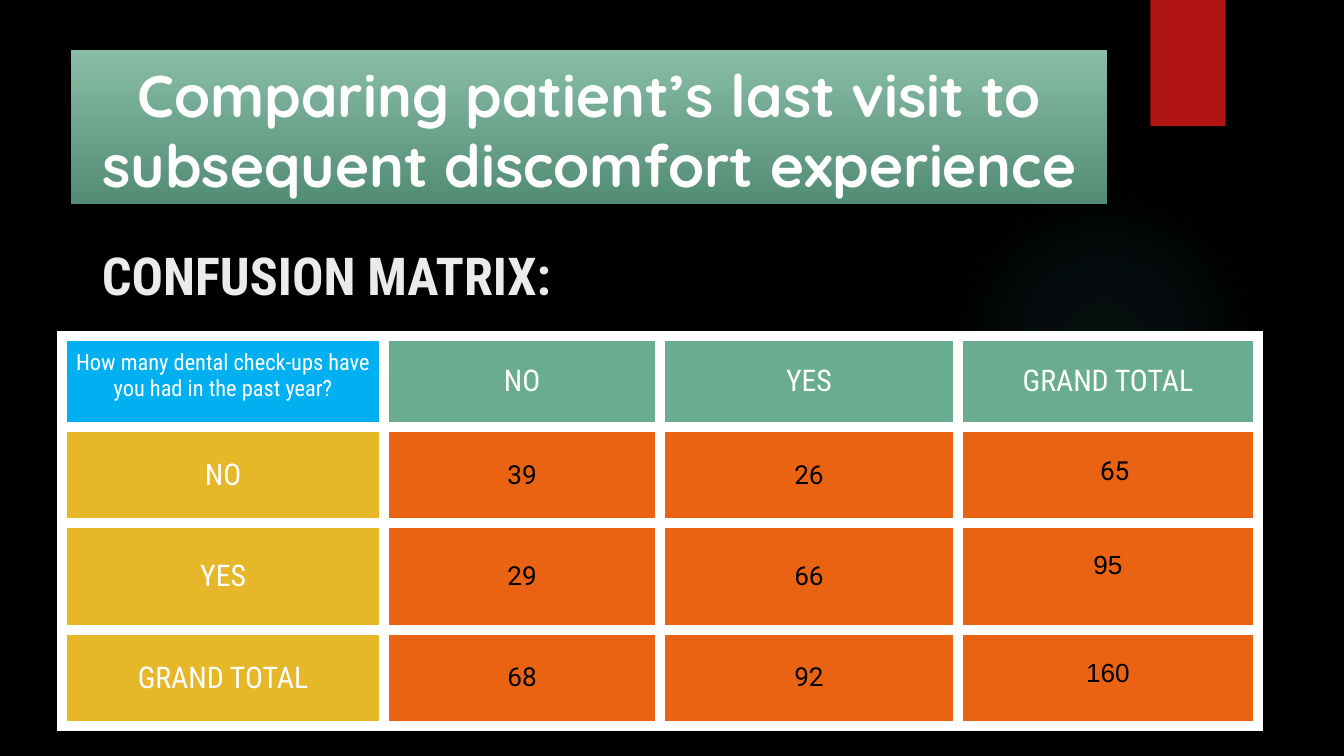
from dataclasses import dataclass

import pptx
import pptx.dml.color
import pptx.enum.shapes
import pptx.enum.text
import pptx.oxml
import pptx.oxml.ns
import pptx.util
from pptx.util import Inches


@dataclass(frozen=True)
class Theme:
    black: str = "000000"
    white: str = "FFFFFF"
    heading: str = "EBEBEB"
    ribbon: str = "B01513"
    glow: str = "50B9C1"
    title_top: str = "89BDA7"
    title_bottom: str = "538C74"
    question: str = "00B0F0"
    column_head: str = "6AAC90"
    row_head: str = "E6B729"
    count: str = "EA6312"
    title_size: float = 31.5
    heading_size: float = 28
    label_size: float = 16
    count_size: float = 14
    question_size: float = 12
    title_font: str = "Quicksand"
    label_font: str = "Roboto Condensed"
    count_font: str = "Roboto"
    total_font: str = "Arial"


theme = Theme()
rgb = pptx.dml.color.RGBColor.from_string
shapes_enum = pptx.enum.shapes.MSO_SHAPE
align = pptx.enum.text.PP_ALIGN
anchor = pptx.enum.text.MSO_ANCHOR
namespace = pptx.oxml.ns.nsdecls("a")


def add_run(paragraph, text, font, size, color, bold=False):
    run = paragraph.add_run()
    run.text = text
    run.font.name = font
    run.font.size = pptx.util.Pt(size)
    run.font.color.rgb = rgb(color)
    run.font.bold = bold


def add_plain_shape(kind, left, top, width, height):
    """Add a shape without outline or shadow."""
    shape = slide.shapes.add_shape(
        kind, Inches(left), Inches(top), Inches(width), Inches(height))
    shape.shadow.inherit = False
    shape.line.fill.background()
    return shape


deck = pptx.Presentation()
deck.slide_width = Inches(10)
deck.slide_height = Inches(10) * 9 // 16
slide = deck.slides.add_slide(deck.slide_layouts[6])
slide.background.fill.solid()
slide.background.fill.fore_color.rgb = rgb(theme.black)

# Background glow and ribbon
glow = add_plain_shape(shapes_enum.OVAL, 7.06, 1.38, 2.31, 2.31)
stops = "".join(
    f'<a:gs pos="{position * 1000}"><a:srgbClr val="{theme.glow}">'
    f'<a:alpha val="{opacity * 1000}"/></a:srgbClr></a:gs>'
    for position, opacity in ((0, 7), (36, 6), (69, 0)))
radial_fill = pptx.oxml.parse_xml(
    f'<a:gradFill {namespace}><a:gsLst>{stops}</a:gsLst><a:path path="circle">'
    '<a:fillToRect l="50000" t="50000" r="50000" b="50000"/></a:path></a:gradFill>')
glow_properties = glow.element.spPr
glow_properties.find(pptx.oxml.ns.qn("a:prstGeom")).addnext(radial_fill)

ribbon = add_plain_shape(shapes_enum.RECTANGLE, 8.56, 0, 0.56, 0.94)
ribbon.fill.solid()
ribbon.fill.fore_color.rgb = rgb(theme.ribbon)

# Title
title = add_plain_shape(shapes_enum.RECTANGLE, 0.53, 0.37, 7.71, 1.15)
title.fill.gradient()
title.fill.gradient_angle = 270
for stop, color in zip(title.fill.gradient_stops, (theme.title_top, theme.title_bottom)):
    stop.color.rgb = rgb(color)
title.text_frame.word_wrap = True
title.text_frame.vertical_anchor = anchor.MIDDLE
title.text_frame.margin_top = Inches(0.08)
title_line = title.text_frame.paragraphs[0]
title_line.alignment = align.CENTER
add_run(title_line, "Comparing patient’s last visit to subsequent discomfort experience",
        theme.title_font, theme.title_size, theme.white, bold=True)

# Confusion matrix
column_widths = (2.4, 2.05, 2.22, 2.23)
row_heights = (0.68, 0.71, 0.8, 0.71)
matrix_rows = (
    ("How many dental check-ups have you had in the past year?", "NO", "YES", "GRAND TOTAL"),
    ("NO", "39", "26", "65"),
    ("YES", "29", "66", "95"),
    ("GRAND TOTAL", "68", "92", "160"),
)
matrix = slide.shapes.add_table(
    len(row_heights), len(column_widths), Inches(0.46), Inches(2.5),
    Inches(sum(column_widths)), Inches(sum(row_heights))).table
for column, width in zip(matrix.columns, column_widths):
    column.width = Inches(width)
for row, height in zip(matrix.rows, row_heights):
    row.height = Inches(height)

for r, row_values in enumerate(matrix_rows):
    for c, value in enumerate(row_values):
        is_question = r == c == 0
        is_count = r > 0 and c > 0
        is_row_total = is_count and c == 3
        font, size, color = theme.label_font, theme.label_size, theme.white
        if is_question:
            fill, size = theme.question, theme.question_size
        elif r == 0:
            fill = theme.column_head
        elif c == 0:
            fill = theme.row_head
        else:
            fill, size, color = theme.count, theme.count_size, theme.black
            font = theme.total_font if is_row_total and r > 1 else theme.count_font

        cell = matrix.cell(r, c)
        cell.margin_left = cell.margin_right = Inches(0.1)
        cell.margin_top = cell.margin_bottom = Inches(0.1)
        cell.vertical_anchor = anchor.TOP if is_question or is_row_total else anchor.MIDDLE
        line = cell.text_frame.paragraphs[0]
        line.alignment = align.CENTER
        if is_row_total:
            line.line_spacing = 1.5
            if r == 1:
                cell.margin_left = Inches(0.2)
        add_run(line, value, font, size, color)

        cell_properties = cell._tc.get_or_add_tcPr()
        for side in ("lnL", "lnR", "lnT", "lnB"):
            cell_properties.append(pptx.oxml.parse_xml(
                f'<a:{side} {namespace} w="{pptx.util.Pt(6)}"><a:solidFill>'
                f'<a:srgbClr val="{theme.white}"/></a:solidFill></a:{side}>'))
        cell.fill.solid()
        cell.fill.fore_color.rgb = rgb(fill)

# Matrix heading
heading = slide.shapes.add_textbox(Inches(0.66), Inches(1.76), Inches(3.54), Inches(0.57))
heading.text_frame.word_wrap = True
add_run(heading.text_frame.paragraphs[0], "CONFUSION MATRIX:",
        theme.label_font, theme.heading_size, theme.heading, bold=True)

deck.save("out.pptx")
